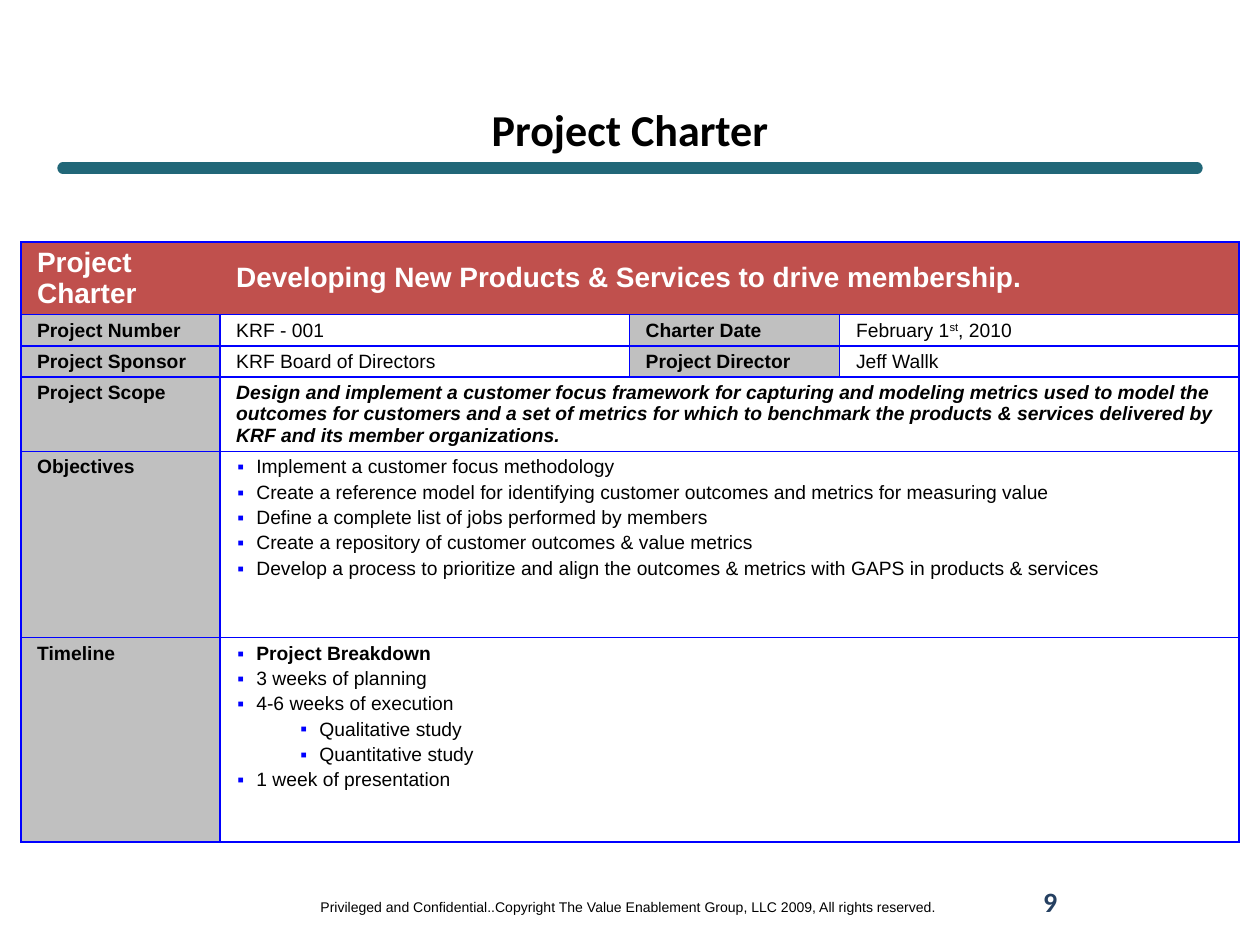
from lxml import etree
from pptx import Presentation
from pptx.dml.color import RGBColor
from pptx.enum.shapes import MSO_CONNECTOR
from pptx.enum.text import MSO_ANCHOR, PP_ALIGN
from pptx.oxml import parse_xml
from pptx.oxml.ns import nsdecls, qn
from pptx.util import Inches, Pt

CENTER, LEFT = PP_ALIGN.CENTER, PP_ALIGN.LEFT
MIDDLE, TOP = MSO_ANCHOR.MIDDLE, MSO_ANCHOR.TOP
STRAIGHT = MSO_CONNECTOR.STRAIGHT
COLORS = {
    "rule": "216778",
    "header": "C0504D",
    "label": "C0C0C0",
    "border": "0000FF",
    "number": "254061",
    "black": "000000",
    "white": "FFFFFF",
}

presentation = Presentation()
presentation.slide_width, presentation.slide_height = Inches(10), Inches(7.5)
slide = presentation.slides.add_slide(presentation.slide_layouts[6])


def share(left, top, width, height):
    across, down = presentation.slide_width, presentation.slide_height
    return int(left * across), int(top * down), int(width * across), int(height * down)


def write_text(paragraph, text, size=11, font="Arial", color="black", bold=False,
               italic=False, align=LEFT, level=0, before=0):
    if level:
        properties = paragraph._p.get_or_add_pPr()
        properties.set("marL", str(Inches(0.16 + 0.5 * (level - 1))))
        properties.set("indent", str(Inches(-0.15)))
        bullet_color = etree.SubElement(properties, qn("a:buClr"))
        etree.SubElement(bullet_color, qn("a:srgbClr")).set("val", COLORS["border"])
        etree.SubElement(properties, qn("a:buFont")).set("typeface", font)
        etree.SubElement(properties, qn("a:buChar")).set("char", "▪")
        paragraph.level = level
    paragraph.alignment = align
    paragraph.space_before = Pt(before)
    for index, part in enumerate(text.split("^")):
        run = paragraph.add_run()
        run.text = part
        run.font.name, run.font.size = font, Pt(size)
        run.font.bold, run.font.italic = bold, italic
        run.font.color.rgb = RGBColor.from_string(COLORS[color])
        if index % 2:
            run._r.get_or_add_rPr().set("baseline", "30000")


rule = slide.shapes.add_connector(STRAIGHT, *share(0.05, 0.178, 0.95, 0.178))
rule.line.color.rgb = RGBColor.from_string(COLORS["rule"])
rule.line.width = Pt(6.5)
rule.line._get_or_add_ln().set("cap", "rnd")
etree.SubElement(rule._element.spPr, qn("a:effectLst"))

captions = [
    ((0.241, 0.944, 0.516, 0.032), False,
     "Privileged and Confidential..Copyright The Value Enablement Group, LLC 2009, All rights reserved.",
     {"size": 8}),
    ((0.05, 0.111, 0.9, 0.051), True, "Project Charter",
     {"size": 25.2, "font": "Calibri", "bold": True}),
    ((0.717, 0.927, 0.233, 0.053), True, "9",
     {"size": 16, "font": "Calibri", "color": "number", "bold": True}),
]
for place, wrap, text, style in captions:
    frame = slide.shapes.add_textbox(*share(*place)).text_frame
    frame.word_wrap = wrap
    frame.vertical_anchor = MIDDLE
    write_text(frame.paragraphs[0], text, align=CENTER, **style)

column_shares = [0.158, 0.325, 0.167, 0.317]
row_shares = [0.077, 0.033, 0.033, 0.079, 0.197, 0.216]
label = {"bold": True}
header = {"size": 16, "color": "white", "bold": True}
objectives = [
    "Implement a customer focus methodology",
    "Create a reference model for identifying customer outcomes and metrics for measuring value",
    "Define a complete list of jobs performed by members",
    "Create a repository of customer outcomes & value metrics",
    "Develop a process to prioritize and align the outcomes & metrics with GAPS in products & services",
]
timeline = [
    ("Project Breakdown", {"level": 1, "bold": True}),
    ("3 weeks of planning", {"level": 1}),
    ("4-6 weeks of execution", {"level": 1}),
    ("Qualitative study", {"level": 2}),
    ("Quantitative study", {"level": 2}),
    ("1 week of presentation", {"level": 1}),
]
scope = ("Design and implement a customer focus framework for capturing and modeling metrics "
         "used to model the outcomes for customers and a set of metrics for which to benchmark "
         "the products & services delivered by KRF and its member organizations.")
rows = [
    [[("Project Charter", header)],
     [("Developing New Products & Services to drive membership.", header)]],
    [[("Project Number", label)], [("KRF - 001", {})],
     [("Charter Date", label)], [("February 1^st^, 2010", {})]],
    [[("Project Sponsor", label)], [("KRF Board of Directors", {})],
     [("Project Director", label)], [("Jeff Wallk", {})]],
    [[("Project Scope", label)], [(scope, {"bold": True, "italic": True})]],
    [[("Objectives", label)], [(text, {"level": 1}) for text in objectives]],
    [[("Timeline", label)], timeline],
]

table = slide.shapes.add_table(
    len(row_shares), len(column_shares),
    *share(0.0165, 0.256, sum(column_shares), sum(row_shares))).table
table.first_row = table.horz_banding = False
for column, portion in zip(table.columns, column_shares):
    column.width = int(portion * presentation.slide_width)
for row, portion in zip(table.rows, row_shares):
    row.height = int(portion * presentation.slide_height)

blue_line = f'<a:solidFill><a:srgbClr val="{COLORS["border"]}"/></a:solidFill>'
open_sides = [(0, "lnR"), (1, "lnL")]
for index, cell in enumerate(table.iter_cells()):
    for side in ("lnL", "lnR", "lnT", "lnB"):
        stroke = "<a:noFill/>" if (index, side) in open_sides else blue_line
        cell._tc.get_or_add_tcPr().append(parse_xml(
            f'<a:{side} {nsdecls("a")} w="{Pt(1)}">{stroke}</a:{side}>'))
    cell.fill.background()

for row_index, contents in enumerate(rows):
    if len(contents) == 2:
        table.cell(row_index, 1).merge(table.cell(row_index, 3))
    for column_index, lines in enumerate(contents):
        cell = table.cell(row_index, column_index)
        centered = row_index == 0 and column_index == 1
        cell.margin_left = cell.margin_right = Inches(0.13)
        cell.margin_top = Inches(0.04)
        cell.margin_bottom = Inches(0.04 if centered else 0)
        cell.vertical_anchor = MIDDLE if centered else TOP
        if row_index == 0 or column_index % 2 == 0:
            cell.fill.solid()
            fill_name = "header" if row_index == 0 else "label"
            cell.fill.fore_color.rgb = RGBColor.from_string(COLORS[fill_name])
        frame = cell.text_frame
        for line_index, (text, style) in enumerate(lines):
            paragraph = frame.add_paragraph() if line_index else frame.paragraphs[0]
            write_text(paragraph, text, before=2.2 if line_index else 0, **style)

presentation.save("out.pptx")
